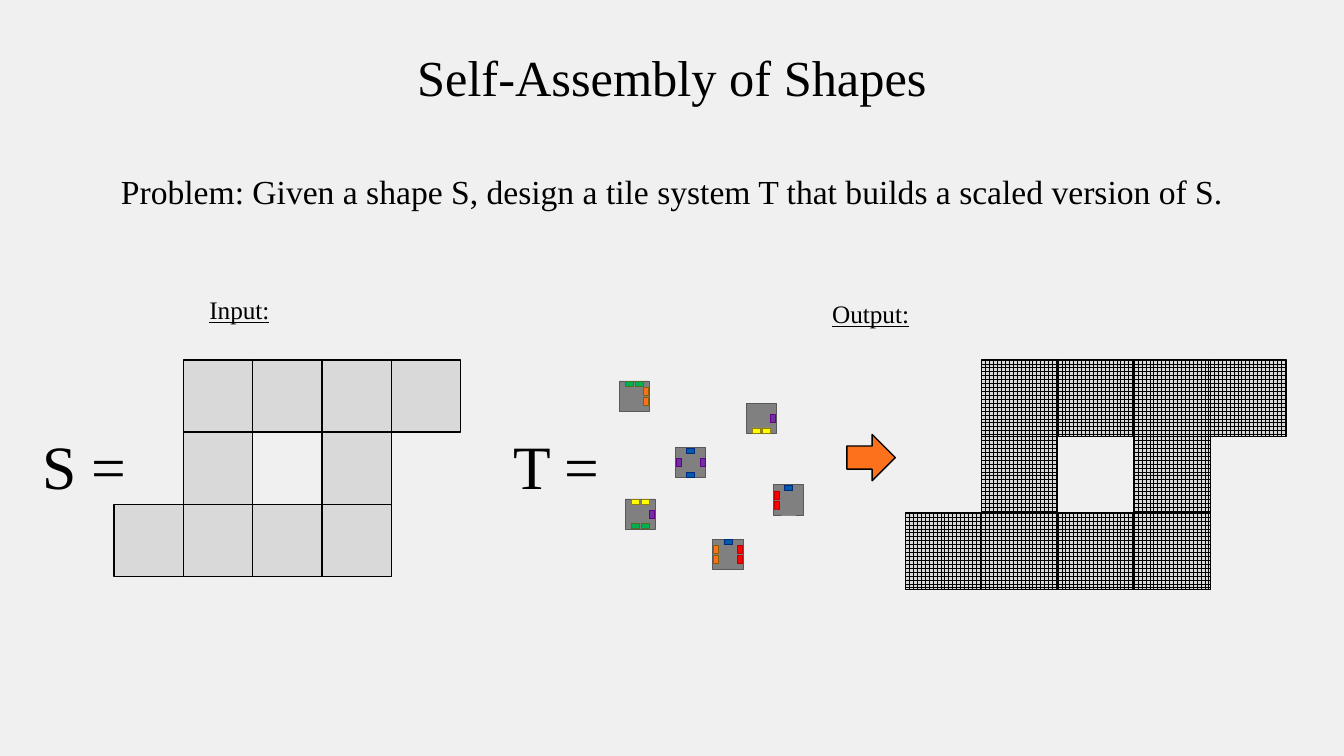
from dataclasses import dataclass

from pptx import Presentation
from pptx.dml.color import RGBColor
from pptx.enum.dml import MSO_PATTERN
from pptx.enum.shapes import MSO_SHAPE
from pptx.enum.text import MSO_ANCHOR, MSO_AUTO_SIZE, PP_ALIGN
from pptx.util import Inches, Pt

RECT, ARROW = MSO_SHAPE.RECTANGLE, MSO_SHAPE.RIGHT_ARROW
GRID = MSO_PATTERN.LARGE_GRID
TOP = MSO_ANCHOR.TOP
FIT = MSO_AUTO_SIZE.SHAPE_TO_FIT_TEXT
LEFT, CENTER = PP_ALIGN.LEFT, PP_ALIGN.CENTER


@dataclass(frozen=True)
class Theme:
    font: str = "Times New Roman"
    title: int = 36
    body: int = 24
    label: int = 18
    symbol: int = 44
    back: str = "F0F0F0"
    ink: str = "000000"
    cell: str = "D9D9D9"
    tile: tuple = ("808080", "595959")
    green: tuple = ("00B050", "536F1D")
    yellow: tuple = ("FFFF00", "8F7F08")
    purple: tuple = ("7030A0", "64018B")
    orange: tuple = ("FC711C", "8A5D02")
    blue: tuple = ("015AAB", "002A7E")
    red: tuple = ("FF0000", "C00000")


THEME = Theme()
rgb = RGBColor.from_string

PATTERN = [".XXXX",
           ".X.X.",
           "XXXX."]

# Centre of each tile, then side: (glue colour, number of glues)
TILES = [
    (6.35, 5.10, {"right": (THEME.purple, 1), "bottom": (THEME.green, 2),
                  "top": (THEME.yellow, 2)}),
    (6.29, 3.93, {"top": (THEME.green, 2), "right": (THEME.orange, 2)}),
    (6.85, 4.59, {"top": (THEME.blue, 1), "bottom": (THEME.blue, 1),
                  "left": (THEME.purple, 1), "right": (THEME.purple, 1)}),
    (7.55, 4.15, {"right": (THEME.purple, 1), "bottom": (THEME.yellow, 2)}),
    (7.22, 5.50, {"left": (THEME.orange, 2), "top": (THEME.blue, 1),
                  "right": (THEME.red, 2)}),
    (7.82, 4.96, {"top": (THEME.blue, 1), "left": (THEME.red, 2)}),
]
SIDES = {"left": (-1, 0), "right": (1, 0), "top": (0, -1), "bottom": (0, 1)}


def write(shape, words, size, align=CENTER, wrap=True, under=None):
    frame = shape.text_frame
    frame.word_wrap = wrap
    frame.auto_size = FIT
    frame.vertical_anchor = TOP
    para = frame.paragraphs[0]
    para.alignment = align
    run = para.add_run()
    run.text = words
    font = run.font
    font.name, font.size, font.underline = THEME.font, Pt(size), under
    font.color.rgb = rgb(THEME.ink)


def add_text(slide, box, words, size, **style):
    write(slide.shapes.add_textbox(*map(Inches, box)), words, size, **style)


def add_block(shapes, box, fill, line, width=1, kind=RECT, grid=False):
    block = shapes.add_shape(kind, *map(Inches, box))
    block.shadow.inherit = False
    if grid:
        block.fill.patterned()
        block.fill.pattern = GRID
        block.fill.fore_color.rgb = rgb(THEME.ink)
        block.fill.back_color.rgb = rgb(fill)
    else:
        block.fill.solid()
        block.fill.fore_color.rgb = rgb(fill)
    block.line.color.rgb = rgb(line)
    block.line.width = Pt(width)


def add_heading(slide, box):
    x, y, w, h = box
    title = slide.shapes.title
    title.left, title.top, title.width, title.height = map(
        Inches, (x, y, w, 0.71))
    write(title, "Self-Assembly of Shapes", THEME.title)
    add_text(slide, (x, y + h - 0.5, w, 0.5),
             "Problem: Given a shape S, design a tile system T "
             "that builds a scaled version of S.", THEME.body)


def add_figure(slide, box, grid=False):
    """Draw the shape S, cell by cell, to fill the box."""
    x, y, w, h = box
    wide, high = w / len(PATTERN[0]), h / len(PATTERN)
    shapes = slide.shapes.add_group_shape().shapes
    for row, marks in enumerate(PATTERN):
        for col, mark in enumerate(marks):
            if mark == "X":
                add_block(shapes, (x + col * wide, y + row * high, wide, high),
                          THEME.cell, THEME.ink, grid=grid)


def add_tile(shapes, x, y, glues):
    """Draw one tile centred on x, y with glues along its sides."""
    add_block(shapes, (x - 0.15, y - 0.15, 0.3, 0.3), *THEME.tile, width=0.5)
    for side, (color, count) in glues.items():
        dx, dy = SIDES[side]
        w, h = (0.05, 0.08) if dx else (0.08, 0.05)
        for i in range(count):
            shift = 0.1 * (i - (count - 1) / 2)
            mx = x + 0.12 * dx + shift * abs(dy)
            my = y + 0.12 * dy + shift * abs(dx)
            add_block(shapes, (mx - w / 2, my - h / 2, w, h), *color, width=0.5)


def add_input(slide, box):
    x, y, w, h = box
    add_text(slide, (x + 1.65, y, 0.81, 0.4), "Input:", THEME.label,
             wrap=False, under=True)
    add_text(slide, (x, y + 1.33, 1.05, 0.84), "S =", THEME.symbol,
             align=LEFT, wrap=False)
    add_figure(slide, (x + 0.81, y + 0.7, w - 0.81, h - 0.7))


def add_output(slide, box):
    x, y, w, h = box
    add_text(slide, (x + 3.16, y + 0.04, 0.97, 0.4), "Output:", THEME.label,
             wrap=False, under=True)
    add_text(slide, (x, y + 1.33, 1.07, 0.84), "T =", THEME.symbol,
             align=LEFT, wrap=False)
    tiles = slide.shapes.add_group_shape().shapes
    for tx, ty, glues in TILES:
        add_tile(tiles, x + tx - 4.99, y + ty - 2.87, glues)
    add_block(slide.shapes, (x + 3.41, y + 1.44, 0.48, 0.46),
              THEME.orange[0], THEME.ink, kind=ARROW)
    add_figure(slide, (x + 3.99, y + 0.7, w - 3.99, h - 0.7), grid=True)


def main():
    deck = Presentation()
    deck.slide_width, deck.slide_height = Inches(13.33), Inches(7.5)
    slide = deck.slides.add_slide(deck.slide_layouts.get_by_name("Title Only"))
    slide.background.fill.solid()
    slide.background.fill.fore_color.rgb = rgb(THEME.back)
    add_heading(slide, (0, 0.41, 13.33, 1.74))
    add_input(slide, (0.32, 2.87, 4.25, 2.85))
    add_output(slide, (4.99, 2.87, 7.77, 2.98))
    deck.save("out.pptx")


if __name__ == "__main__":
    main()
